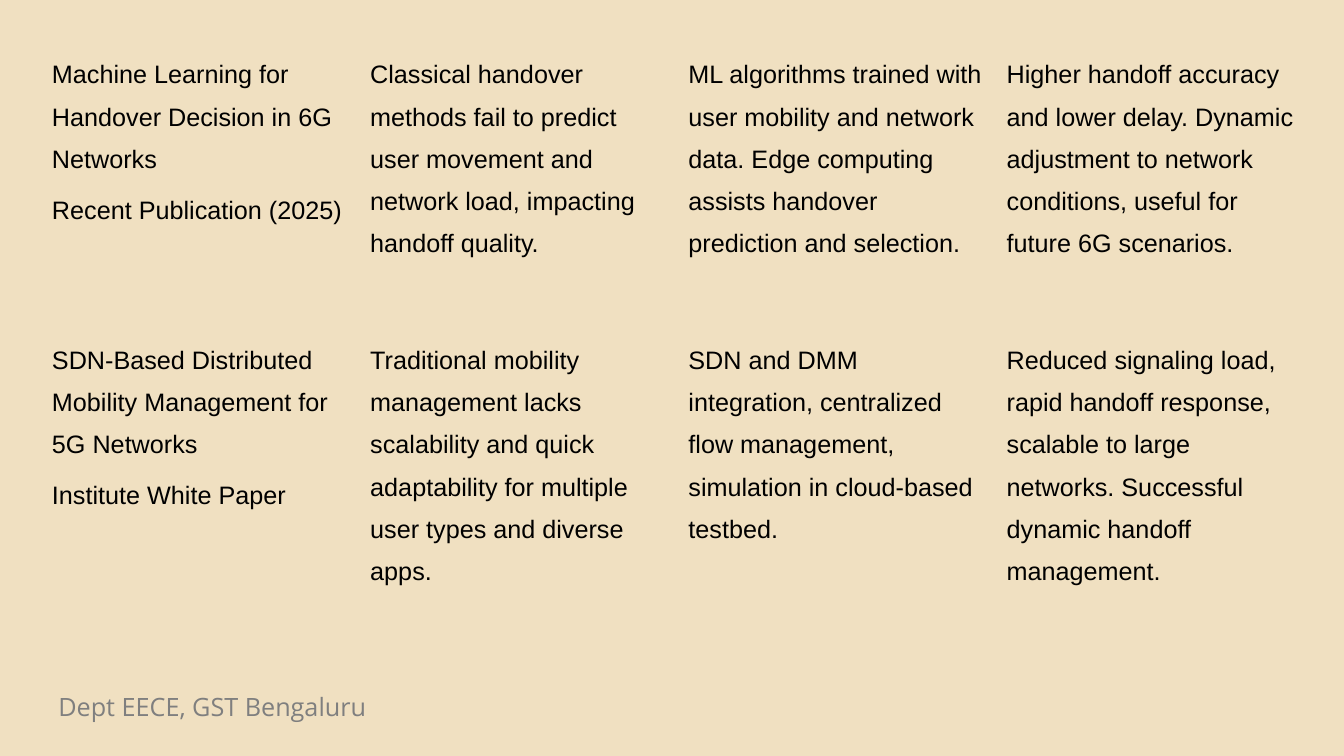
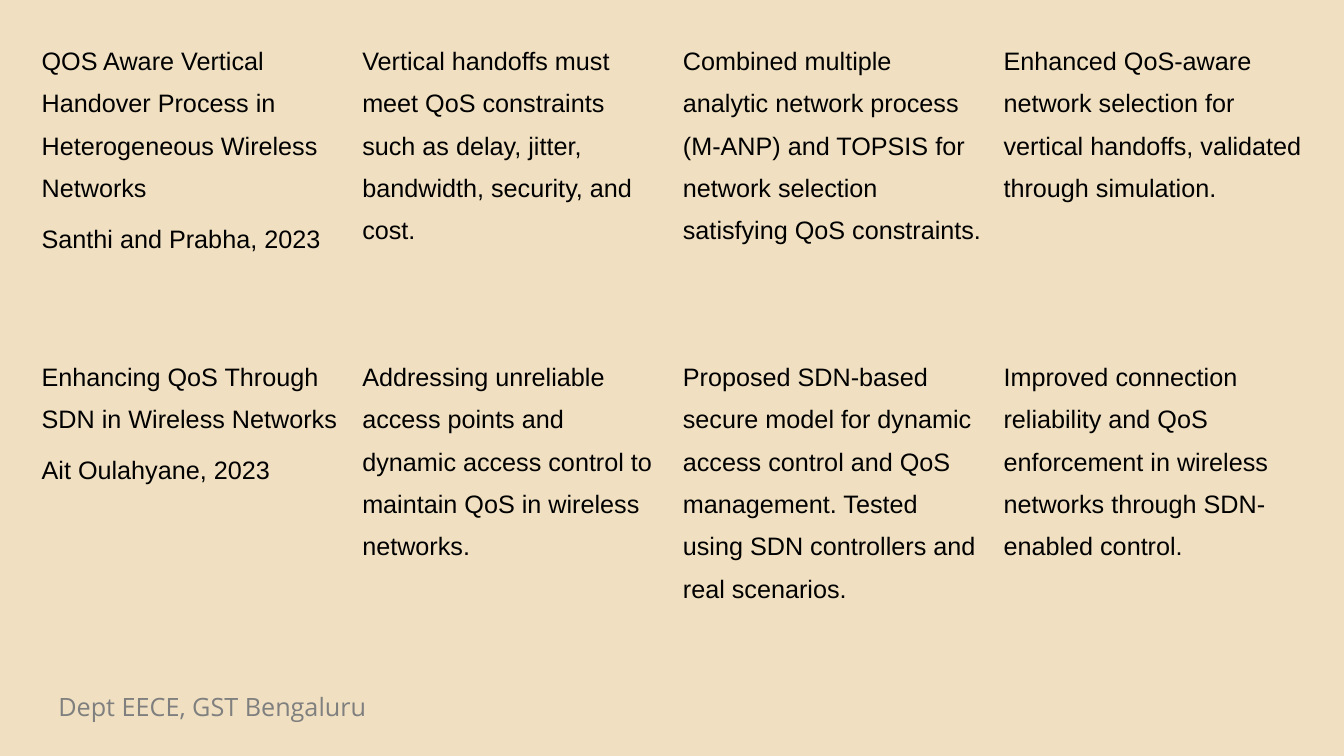
from dataclasses import dataclass

from pptx import Presentation
from pptx.dml.color import RGBColor
from pptx.enum import text
from pptx.presentation import Presentation as Deck
from pptx.slide import Slide
from pptx.table import _Cell as Cell
from pptx.util import Cm, Pt

SAND = RGBColor(0xF0, 0xE0, 0xC1)
BLACK = RGBColor(0x00, 0x00, 0x00)
GREY = RGBColor(0x7F, 0x7F, 0x7F)
BODY_FONT = "Arial"
FOOTER_FONT = "Open Sans"
TEXT_SIZE = Pt(18)
FOOTER = "Dept EECE, GST Bengaluru"
NO_STYLE_NO_GRID = "{2D5ABB26-0587-4C30-8999-92F81FD0307C}"
BLANK_LAYOUT = 6


@dataclass(frozen=True)
class Study:
    title: str
    source: str
    problem: str
    method: str
    result: str

    def columns(self) -> list[list[str]]:
        return [[self.title, self.source], [self.problem], [self.method], [self.result]]


@dataclass(frozen=True)
class Survey:
    left: float
    top: float
    column_width: float
    row_heights: tuple[float, ...]
    studies: tuple[Study, ...]


SURVEYS = (
    Survey(1.03, 1.04, 8.02, (7.19, 7.88), (
        Study(
            "Machine Learning for Handover Decision in 6G Networks",
            "Recent Publication (2025)",
            "Classical handover methods fail to predict user movement and network load, "
            "impacting handoff quality.",
            "ML algorithms trained with user mobility and network data. "
            "Edge computing assists handover prediction and selection.",
            "Higher handoff accuracy and lower delay. Dynamic adjustment to network "
            "conditions, useful for future 6G scenarios.",
        ),
        Study(
            "SDN-Based Distributed Mobility Management for 5G Networks",
            "Institute White Paper",
            "Traditional mobility management lacks scalability and quick adaptability "
            "for multiple user types and diverse apps.",
            "SDN and DMM integration, centralized flow management, "
            "simulation in cloud-based testbed.",
            "Reduced signaling load, rapid handoff response, scalable to large networks. "
            "Successful dynamic handoff management.",
        ),
    )),
    Survey(0.77, 0.71, 8.08, (7.96, 7.96), (
        Study(
            "QOS Aware Vertical Handover Process in Heterogeneous Wireless Networks",
            "Santhi and Prabha, 2023",
            "Vertical handoffs must meet QoS constraints such as delay, jitter, "
            "bandwidth, security, and cost.",
            "Combined multiple analytic network process (M-ANP) and TOPSIS for network "
            "selection satisfying QoS constraints.",
            "Enhanced QoS-aware network selection for vertical handoffs, "
            "validated through simulation.",
        ),
        Study(
            "Enhancing QoS Through SDN in Wireless Networks",
            "Ait Oulahyane, 2023",
            "Addressing unreliable access points and dynamic access control to maintain "
            "QoS in wireless networks.",
            "Proposed SDN-based secure model for dynamic access control and QoS "
            "management. Tested using SDN controllers and real scenarios.",
            "Improved connection reliability and QoS enforcement in wireless networks "
            "through SDN-enabled control.",
        ),
    )),
)


def style_master(deck: Deck, first_slide: Slide) -> None:
    master = deck.slide_master
    master.background.fill.solid()
    master.background.fill.fore_color.rgb = SAND

    footer = first_slide.shapes.add_textbox(Cm(1.22), Cm(17.3), Cm(13.3), Cm(1.02))
    footer.text_frame.word_wrap = True
    line = footer.text_frame.paragraphs[0]
    line.text = FOOTER
    line.font.name = FOOTER_FONT
    line.font.size = TEXT_SIZE
    line.font.color.rgb = GREY
    footer.element.nvSpPr.cNvPr.set("id", "100")
    master.element.cSld.spTree.append(footer.element)


def fill_cell(cell: Cell, lines: list[str]) -> None:
    cell.fill.background()
    cell.margin_left = cell.margin_right = Cm(0.28)
    cell.margin_top = cell.margin_bottom = Cm(0.14)
    cell.vertical_anchor = text.MSO_ANCHOR.TOP
    cell.text = "\n".join(lines)
    for paragraph in cell.text_frame.paragraphs:
        paragraph.line_spacing = 1.5
        paragraph.space_after = Pt(6)
        paragraph.font.name = BODY_FONT
        paragraph.font.size = TEXT_SIZE
        paragraph.font.color.rgb = BLACK


def add_survey(slide: Slide, survey: Survey) -> None:
    column_count = len(survey.studies[0].columns())
    frame = slide.shapes.add_table(
        len(survey.studies), column_count, Cm(survey.left), Cm(survey.top),
        Cm(survey.column_width * column_count), Cm(sum(survey.row_heights)),
    )
    table = frame.table
    table.first_row = False
    table.horz_banding = False
    frame.element.graphic.graphicData.tbl.tblPr[0].text = NO_STYLE_NO_GRID
    for column in table.columns:
        column.width = Cm(survey.column_width)
    for row, height, study in zip(table.rows, survey.row_heights, survey.studies):
        row.height = Cm(height)
        for cell, lines in zip(row.cells, study.columns()):
            fill_cell(cell, lines)


def main() -> None:
    deck = Presentation()
    deck.slide_width, deck.slide_height = Cm(33.87), Cm(19.05)
    slides = [deck.slides.add_slide(deck.slide_layouts[BLANK_LAYOUT]) for _ in SURVEYS]
    style_master(deck, slides[0])
    for slide, survey in zip(slides, SURVEYS):
        add_survey(slide, survey)
    deck.save("out.pptx")


if __name__ == "__main__":
    main()
